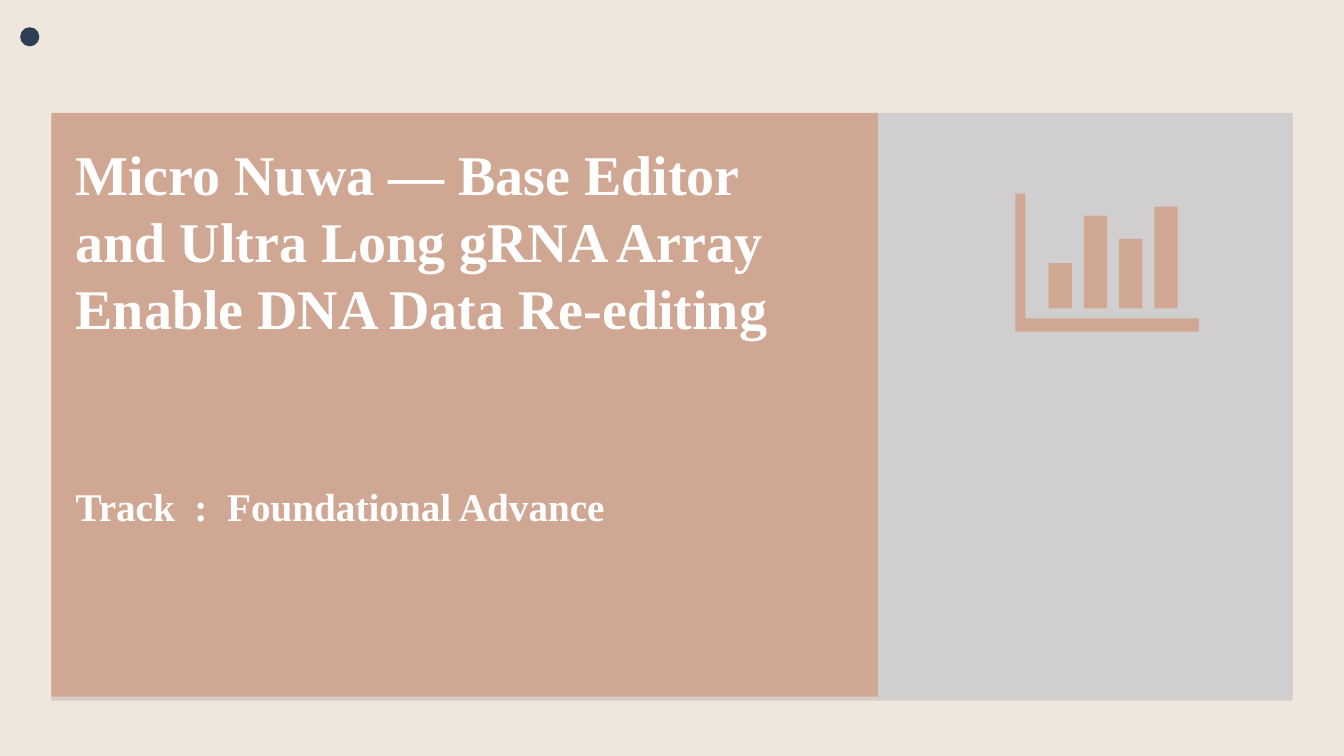
from lxml import etree
from pptx import Presentation
from pptx import util as u
from pptx.dml import color
from pptx.enum import shapes, text
from pptx.oxml import ns

CLAY, GREY, NAVY = "D0A793", "D0CECE", "2E3F55"
CREAM, WHITE = "EFE6DD", "FFFFFF"


def paint(fill, code):
    fill.solid()
    fill.fore_color.rgb = color.RGBColor.from_string(code)


def write(shape, words, size=28, font="Times New Roman", ink=WHITE,
          bold=True):
    """Fill a shape's text frame with one formatted paragraph."""
    frame = shape.text_frame
    frame.word_wrap = True
    frame.auto_size = text.MSO_AUTO_SIZE.NONE
    frame.vertical_anchor = text.MSO_ANCHOR.TOP
    frame.margin_left = frame.margin_right = 0
    frame.margin_top = frame.margin_bottom = 0
    para = frame.paragraphs[0]
    para.alignment = text.PP_ALIGN.LEFT
    para.line_spacing = 1.0
    para.space_before = u.Pt(0)
    run = para.add_run()
    run.text = words
    run.font.name, run.font.size, run.font.bold = font, u.Pt(size), bold
    paint(run.font.fill, ink)


class Deck:
    """Holds the style and the current slide."""

    def __init__(self, back):
        self.file = Presentation()
        self.file.slide_width = u.Inches(13.33)
        self.file.slide_height = u.Inches(7.5)
        self.slide = self.file.slides.add_slide(self.file.slide_layouts[0])
        paint(self.slide.background.fill, back)

    def finish(self, shape, fill):
        shape.shadow.inherit = False
        paint(shape.fill, fill)
        shape.line.fill.background()
        return shape

    def shape(self, kind, box, fill):
        item = self.slide.shapes.add_shape(kind, *map(u.Inches, box))
        return self.finish(item, fill)

    def panel(self, box, fill):
        item = self.shape(shapes.MSO_SHAPE.RECTANGLE, box, fill)
        # Soft strip of shade below the panel
        effects = item.element.spPr.find(ns.qn("a:effectLst"))
        shade = etree.SubElement(effects, ns.qn("a:outerShdw"), blurRad="0",
                                 dist=str(u.Pt(3)), dir="5400000",
                                 algn="t", rotWithShape="0")
        ink = etree.SubElement(shade, ns.qn("a:srgbClr"), val="000000")
        etree.SubElement(ink, ns.qn("a:alpha"), val="10000")

    def holder(self, index, box, words, **style):
        item = self.slide.placeholders[index]
        item.left, item.top, item.width, item.height = map(u.Inches, box)
        write(item, words, **style)
        # Bring the text in front of the panels
        self.slide.shapes._spTree.append(item.element)

    def outline(self, loops, fill):
        first, *rest = [[(u.Inches(x), u.Inches(y)) for x, y in loop]
                        for loop in loops]
        pen = self.slide.shapes.build_freeform(*first[0])
        pen.add_line_segments(first[1:])
        for loop in rest:
            pen.move_to(*loop[0])
            pen.add_line_segments(loop[1:])
        self.finish(pen.convert_to_shape(), fill)


def main():
    deck = Deck(CREAM)

    # Panels
    deck.panel((0.51, 1.12, 8.2, 5.79), CLAY)
    deck.panel((8.71, 1.12, 4.11, 5.79), GREY)

    # Title and track
    deck.holder(0, (0.75, 1.38, 7.39, 2.1),
                "Micro Nuwa — Base Editor and Ultra Long gRNA Array "
                "Enable DNA Data Re-editing", size=40)
    deck.holder(1, (0.75, 4.78, 7.39, 0.5),
                "Track  :  Foundational Advance")

    # Bar chart icon: axes, then bars standing on one base line
    axes = [(11.89, 3.29), (10.07, 3.29), (10.07, 1.92), (10.17, 1.92),
            (10.17, 3.16), (11.89, 3.16)]
    base, wide, step = 3.06, 0.23, 0.35
    bars = []
    for i, top in enumerate((2.61, 2.14, 2.37, 2.05)):
        left = 10.4 + i * step
        right = left + wide
        bars.append([(right, base), (left, base), (left, top), (right, top)])
    deck.outline([loop + loop[:1] for loop in [axes] + bars], CLAY)

    # Corner dot
    deck.shape(shapes.MSO_SHAPE.OVAL, (0.2, 0.27, 0.19, 0.19), NAVY)

    deck.file.save("out.pptx")


if __name__ == "__main__":
    main()
